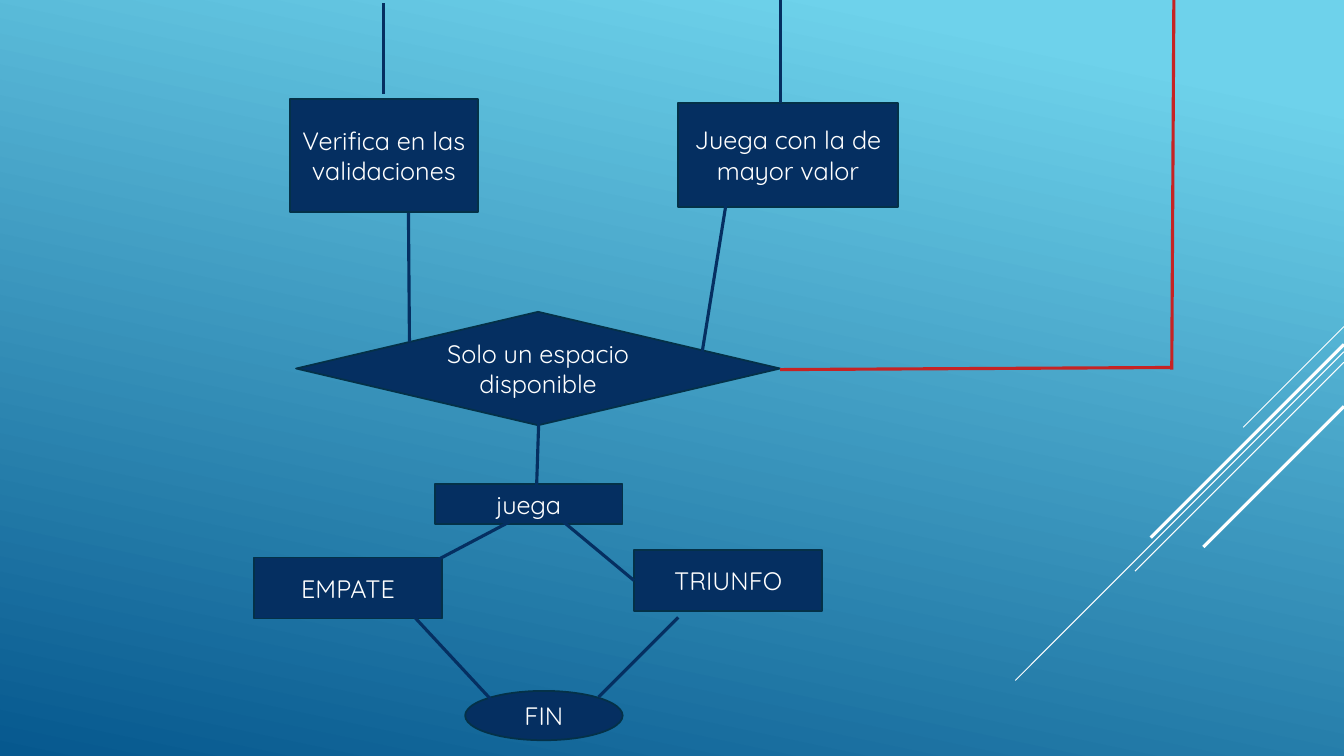
from lxml import etree
from pptx import Presentation
from pptx import util as u
from pptx.dml.color import RGBColor
from pptx.enum import shapes, text
from pptx.oxml import ns

PX = 9525  # EMU per px, at 96 px to the inch
WIDTH, HEIGHT = 1280, 720
FONT = "Quicksand"
COLORS = {
    "sky": "6ED2EB",
    "deep": "06588E",
    "navy": "052F61",
    "border": "043148",
    "red": "C62324",
    "white": "FFFFFF",
}
RECT = shapes.MSO_SHAPE.RECTANGLE
OVAL = shapes.MSO_SHAPE.OVAL
DECISION = shapes.MSO_SHAPE.FLOWCHART_DECISION

# Kind, wording, left, top, width, height within the flowchart
STEPS = [
    (RECT, "Verifica en las validaciones", 34, 94, 179, 108),
    (RECT, "Juega con la de mayor valor", 404, 98, 209, 99),
    (OVAL, "FIN", 201, 658, 150, 47),
    (RECT, "EMPATE", 0, 531, 179, 58),
    (RECT, "TRIUNFO", 362, 524, 179, 58),
    (DECISION, "Solo un espacio disponible", 40, 297, 461, 108),
    (RECT, "juega", 172, 461, 179, 38),
]
# Start x, y and end x, y within the flowchart
LINKS = {
    "navy": [
        (123, 3, 123, 90),
        (501, 0, 501, 98),
        (147, 203, 148, 326),
        (450, 191, 426, 340),
        (249, 494, 158, 542),
        (362, 553, 291, 494),
        (231, 672, 153, 588),
        (404, 588, 328, 664),
        (271, 404, 269, 465),
    ],
    "red": [
        (501, 352, 873, 350),
        (874, 352, 876, 0),
    ],
}
# Drop from the top, length across, weight of each diagonal
STREAKS = [(0, 96, 0.75), (24, 313, 0.75), (34, 199, 0.75), (17, 184, 2.25), (76, 134, 2.25)]


def rgb(name):
    return RGBColor.from_string(COLORS[name])


def add_line(slide, start_x, start_y, end_x, end_y, color, weight):
    line = slide.shapes.add_connector(
        shapes.MSO_CONNECTOR.STRAIGHT,
        *(value * PX for value in (start_x, start_y, end_x, end_y)),
    )
    line.line.color.rgb = rgb(color)
    line.line.width = u.Pt(weight)
    properties = line._element.find(ns.qn("p:spPr"))
    etree.SubElement(properties, ns.qn("a:effectLst"))


def add_step(slide, kind, wording, left, top, width, height):
    shape = slide.shapes.add_shape(kind, left * PX, top * PX, width * PX, height * PX)
    shape.shadow.inherit = False
    shape.fill.solid()
    shape.fill.fore_color.rgb = rgb("navy")
    shape.line.color.rgb = rgb("border")
    shape.line.width = u.Pt(1.25)

    frame = shape.text_frame
    frame.word_wrap = True
    frame.vertical_anchor = text.MSO_ANCHOR.MIDDLE
    paragraph = frame.paragraphs[0]
    paragraph.alignment = text.PP_ALIGN.CENTER
    run = paragraph.add_run()
    run.text = wording
    run.font.name = FONT
    run.font.size = u.Pt(18)
    run.font.color.rgb = rgb("white")


def paint_background(slide):
    fill = slide.background.fill
    fill.gradient()
    fill.gradient_angle = 258
    for stop, (color, position) in zip(fill.gradient_stops, [("sky", 0.1), ("deep", 1)]):
        stop.color.rgb = rgb(color)
        stop.position = position


def draw_streaks(slide, right, top):
    """Diagonals at 45 degrees, all starting from the right edge."""
    for drop, length, weight in STREAKS:
        start_y = top + drop
        add_line(slide, right, start_y, right - length, start_y + length, "white", weight)


def draw_flowchart(slide, left, top):
    # Steps
    for kind, wording, x, y, width, height in STEPS:
        add_step(slide, kind, wording, left + x, top + y, width, height)
    # Links between the steps
    for color, links in LINKS.items():
        for start_x, start_y, end_x, end_y in links:
            add_line(slide, left + start_x, top + start_y, left + end_x, top + end_y, color, 2.25)


def main():
    presentation = Presentation()
    presentation.slide_width = WIDTH * PX
    presentation.slide_height = HEIGHT * PX
    slide = presentation.slides.add_slide(presentation.slide_layouts[6])
    paint_background(slide)
    draw_streaks(slide, WIDTH, 311)
    draw_flowchart(slide, 242, 0)
    presentation.save("out.pptx")


if __name__ == "__main__":
    main()
